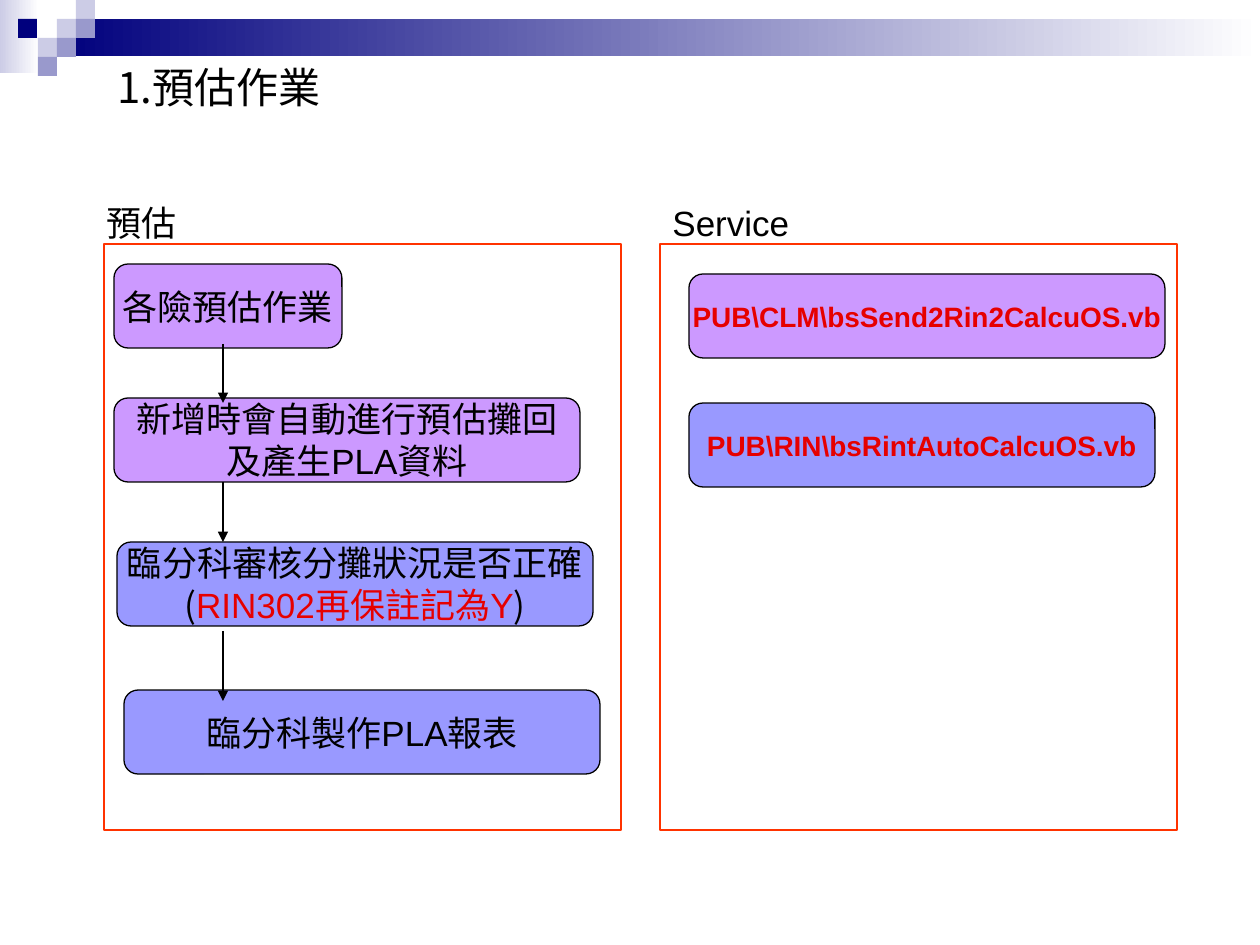
"""Build the estimation workflow slide with its service list."""
from lxml.etree import SubElement
from pptx import Presentation
from pptx.dml.color import RGBColor
from pptx.enum.shapes import MSO_CONNECTOR, MSO_SHAPE
from pptx.enum.text import MSO_ANCHOR, MSO_AUTO_SIZE, PP_ALIGN
from pptx.oxml.ns import qn
from pptx.util import Emu, Pt

BLACK = RGBColor(0x00, 0x00, 0x00)
WHITE = RGBColor(0xFF, 0xFF, 0xFF)
RED = RGBColor(0xE6, 0x00, 0x00)
FRAME_RED = RGBColor(0xFF, 0x33, 0x00)
VIOLET = RGBColor(0xCC, 0x99, 0xFF)
PERIWINKLE = RGBColor(0x99, 0x99, 0xFF)
NAVY = RGBColor(0x00, 0x00, 0x7D)
PALE = RGBColor(0xCC, 0xCC, 0xE6)
SLATE = RGBColor(0x99, 0x99, 0xCC)
LATIN = "Arial"
CJK = "Noto Sans CJK SC"


def px(length):
    return Emu(round(length * 914400 / 126))


class SlideBuilder:
    def __init__(self, presentation):
        self.slide = presentation.slides.add_slide(presentation.slide_layouts[5])
        self.line_width = Pt(0.75)

    def add_lines(self, frame, lines, size, align=PP_ALIGN.LEFT, bold=False):
        for index, line in enumerate(lines):
            paragraph = frame.add_paragraph() if index else frame.paragraphs[0]
            paragraph.alignment = align
            for words, font, color in line:
                run = paragraph.add_run()
                run.text = words
                run.font.size = Pt(size)
                run.font.bold = bold
                run.font.color.rgb = color
                run.font.name = font
                SubElement(run.font._element, qn("a:ea"), typeface=CJK)

    def title(self, words, left, top, width, height):
        heading = self.slide.shapes.title
        heading.left, heading.top = px(left), px(top)
        heading.width, heading.height = px(width), px(height)
        frame = heading.text_frame
        frame.auto_size = MSO_AUTO_SIZE.NONE
        frame.vertical_anchor = MSO_ANCHOR.TOP
        self.add_lines(frame, [[(words, CJK, BLACK)]], 24)

    def label(self, words, left, top, width, height):
        box = self.slide.shapes.add_textbox(px(left), px(top), px(width), px(height))
        box.text_frame.word_wrap = True
        self.add_lines(box.text_frame, [[(words, LATIN, BLACK)]], 20)

    def shape(self, preset, left, top, width, height, fill=None, outline=None):
        item = self.slide.shapes.add_shape(
            preset, px(left), px(top), px(width), px(height))
        item.shadow.inherit = False
        if fill is None:
            item.fill.background()
        else:
            item.fill.solid()
            item.fill.fore_color.rgb = fill
        if outline is None:
            item.line.fill.background()
        else:
            item.line.color.rgb = outline
            item.line.width = self.line_width
        return item

    def fade(self, left, top, width, height, color):
        band = self.shape(MSO_SHAPE.RECTANGLE, left, top, width, height)
        band.fill.gradient()
        band.fill.gradient_angle = 180
        for stop, position, shade in zip(
                band.fill.gradient_stops, (0, 1), (WHITE, color)):
            stop.position = position
            stop.color.rgb = shade

    def step(self, left, top, width, fill, lines, size=20, bold=False):
        box = self.shape(MSO_SHAPE.FLOWCHART_ALTERNATE_PROCESS,
                         left, top, width, 84, fill, BLACK)
        frame = box.text_frame
        frame.word_wrap = False
        frame.vertical_anchor = MSO_ANCHOR.MIDDLE
        self.add_lines(frame, lines, size, PP_ALIGN.CENTER, bold)

    def arrow(self, x, start, end):
        connector = self.slide.shapes.add_connector(
            MSO_CONNECTOR.STRAIGHT, px(x), px(start), px(x), px(end))
        connector.line.color.rgb = BLACK
        connector.line.width = self.line_width
        SubElement(connector.get_or_add_ln(), qn("a:tailEnd"), type="triangle")
        SubElement(connector.element.spPr, qn("a:effectLst"))


def main():
    presentation = Presentation()
    presentation.slide_width, presentation.slide_height = px(1260), px(945)
    builder = SlideBuilder(presentation)

    builder.fade(0, 0, 39, 73, PALE)
    builder.fade(57, 19, 1203, 37, NAVY)
    for left, row, color in [
        (57, 1, PALE), (76, 0, PALE), (76, 1, SLATE), (38, 2, PALE),
        (18, 1, NAVY), (57, 2, SLATE), (38, 3, SLATE),
    ]:
        builder.shape(MSO_SHAPE.RECTANGLE, left, row * 19, 19, 19, color)

    builder.title("1.預估作業", 105, 55, 973, 63)
    for frame_left, label_left, label_width, words in [
        (104, 94, 139, "預估"), (660, 660, 198, "Service"),
    ]:
        builder.shape(MSO_SHAPE.RECTANGLE, frame_left, 244, 517, 586, outline=FRAME_RED)
        builder.label(words, label_left, 195, label_width, 118)

    review = [
        [("臨分科審核分攤狀況是否正確", LATIN, BLACK)],
        [("(", CJK, BLACK), ("RIN302", LATIN, RED), ("再保註記為", CJK, RED),
         ("Y", LATIN, RED), (")", CJK, BLACK)],
    ]
    for left, top, width, fill, lines in [
        (114, 264, 228, VIOLET, [[("各險預估作業", LATIN, BLACK)]]),
        (114, 398, 466, VIOLET, [[("新增時會自動進行預估攤回", LATIN, BLACK)],
                                 [("及產生PLA資料", LATIN, BLACK)]]),
        (117, 542, 476, PERIWINKLE, review),
        (124, 690, 476, PERIWINKLE, [[("臨分科製作PLA報表", LATIN, BLACK)]]),
    ]:
        builder.step(left, top, width, fill, lines)
    for top, width, fill, service in [
        (274, 476, VIOLET, "PUB\\CLM\\bsSend2Rin2CalcuOS.vb"),
        (403, 466, PERIWINKLE, "PUB\\RIN\\bsRintAutoCalcuOS.vb"),
    ]:
        builder.step(689, top, width, fill, [[(service, LATIN, RED)]], 16, True)
    for start, end in [(344, 403), (482, 542), (631, 701)]:
        builder.arrow(223, start, end)

    presentation.save("out.pptx")


if __name__ == "__main__":
    main()
